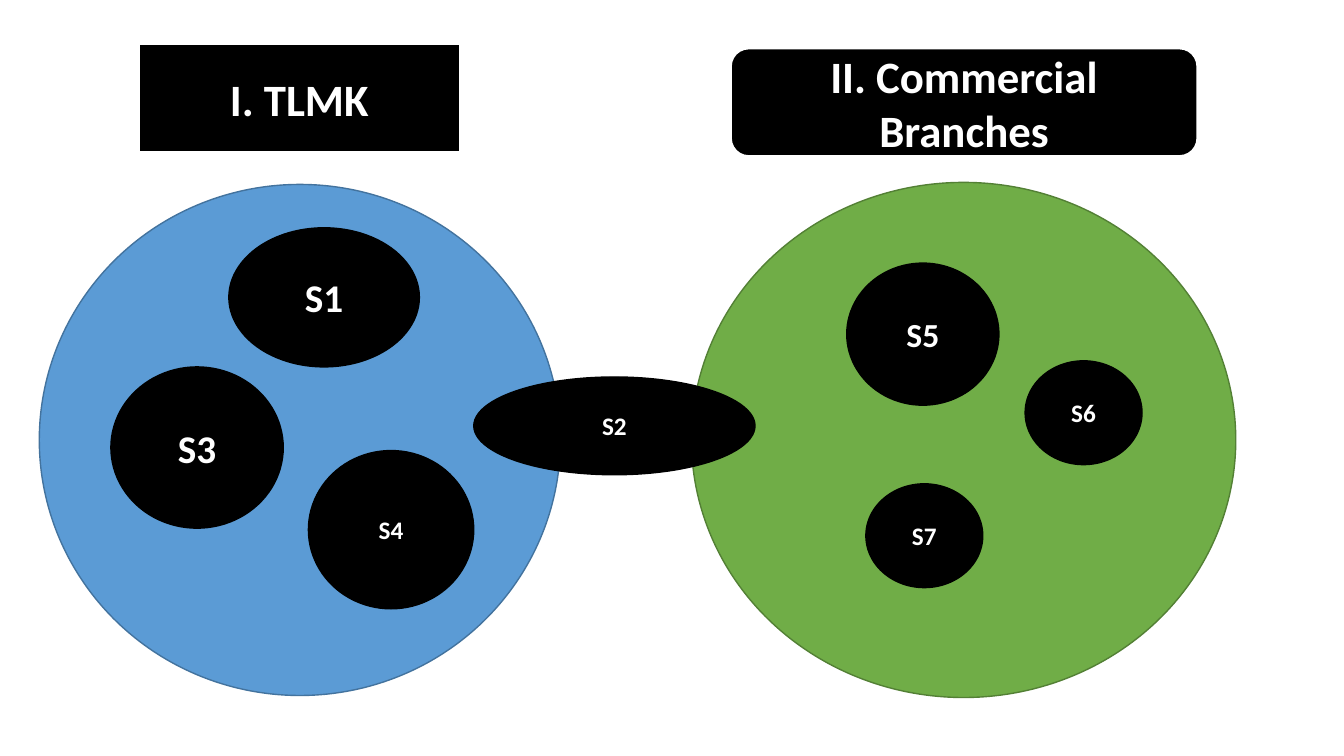
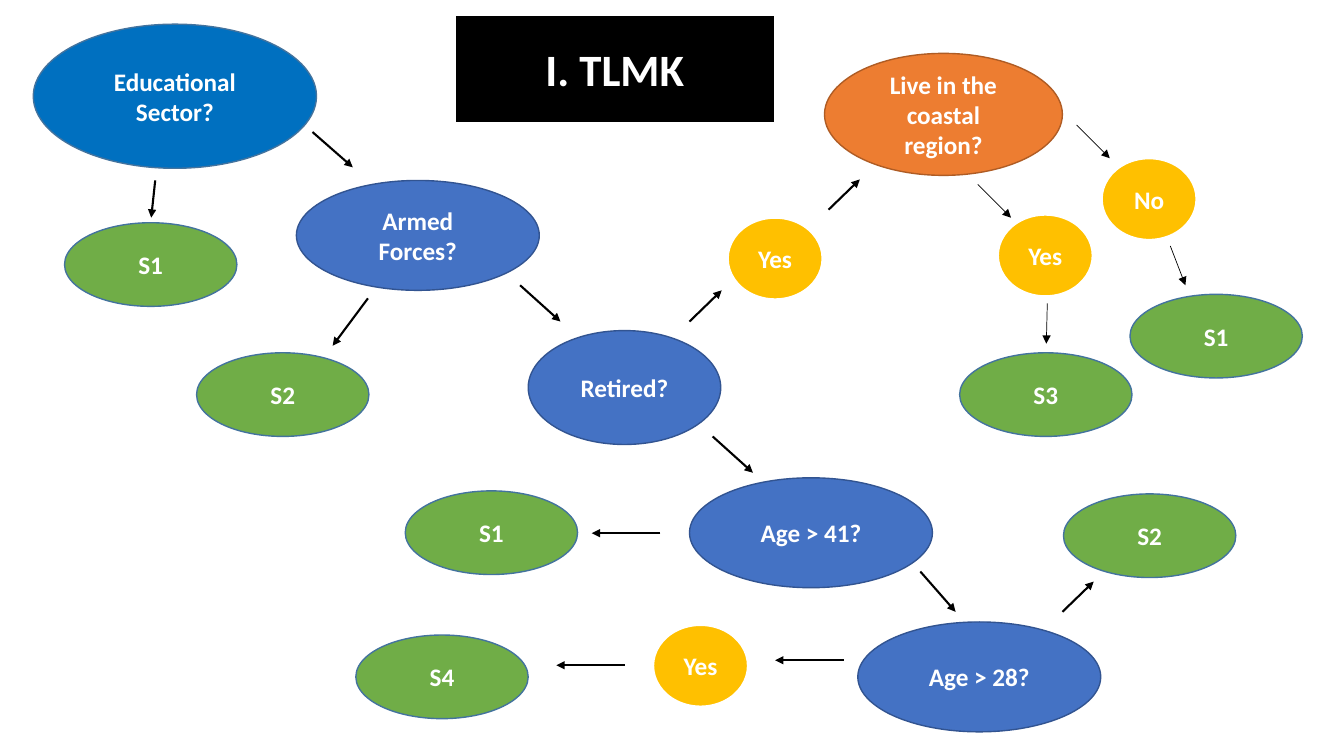
from dataclasses import dataclass
from typing import NamedTuple

from lxml import etree
from pptx import Presentation
from pptx import util as u
from pptx.dml.color import RGBColor
from pptx.enum import shapes, text
from pptx.oxml import ns


# Theme: colours, type sizes and line widths
class Look(NamedTuple):
    fill: str
    line: str
    width: float = 1


@dataclass(frozen=True)
class Theme:
    font: str = "Calibri"
    ink: str = "FFFFFF"
    arrow: str = "000000"
    title_size: int = 32
    large: int = 28
    medium: int = 24
    small: int = 18
    thick: float = 1.5
    thin: float = 0.5
    banner: Look = Look("000000", "FFFFFF", 1.5)
    telemarketing: Look = Look("5B9BD5", "43739E")
    branches: Look = Look("70AD47", "538035")
    group: Look = Look("000000", "000000")
    start: Look = Look("0070C0", "43739E")
    question: Look = Look("4472C4", "325491")
    region: Look = Look("ED7D31", "AF5C24")
    answer: Look = Look("FFC000", "FFFFFF", 1.5)
    segment: Look = Look("70AD47", "43739E")


THEME = Theme()

# Grid: ten columns and ten rows to the inch
CELL = u.Inches(0.1)
COLUMNS, ROWS = 133.33, 75


def cells(count: float) -> int:
    return round(count * CELL)


class Box(NamedTuple):
    col: float
    row: float
    cols: float
    rows: float

    def lengths(self) -> tuple:
        return tuple(cells(value) for value in self)


class Oval(NamedTuple):
    box: Box
    look: Look
    label: str = ""
    size: int = THEME.small


class Arrow(NamedTuple):
    col: float
    row: float
    to_col: float
    to_row: float
    width: float = THEME.thick


# Drawing functions
def paint(shape, look: Look) -> None:
    shape.fill.solid()
    shape.fill.fore_color.rgb = RGBColor.from_string(look.fill)
    shape.line.color.rgb = RGBColor.from_string(look.line)
    shape.line.width = u.Pt(look.width)


def write(shape, label: str, size: int) -> None:
    frame = shape.text_frame
    frame.word_wrap = True
    frame.auto_size = text.MSO_AUTO_SIZE.NONE
    frame.vertical_anchor = text.MSO_ANCHOR.MIDDLE
    paragraph = frame.paragraphs[0]
    paragraph.alignment = text.PP_ALIGN.CENTER
    run = paragraph.add_run()
    run.text = label
    run.font.name = THEME.font
    run.font.size = u.Pt(size)
    run.font.bold = True
    run.font.color.rgb = RGBColor.from_string(THEME.ink)


def draw_shape(slide, preset, box: Box, look: Look, label: str, size: int) -> None:
    shape = slide.shapes.add_shape(preset, *box.lengths())
    shape.shadow.inherit = False
    paint(shape, look)
    if label:
        write(shape, label, size)


def draw_oval(slide, oval: Oval) -> None:
    draw_shape(slide, shapes.MSO_SHAPE.OVAL, *oval)


def draw_arrow(slide, arrow: Arrow) -> None:
    ends = [cells(value) for value in arrow[:4]]
    line = slide.shapes.add_connector(shapes.MSO_CONNECTOR.STRAIGHT, *ends)
    line.line.color.rgb = RGBColor.from_string(THEME.arrow)
    line.line.width = u.Pt(arrow.width)
    etree.SubElement(line.line._get_or_add_ln(), ns.qn("a:tailEnd"), type="triangle")
    etree.SubElement(line._element.spPr, ns.qn("a:effectLst"))


def draw_title(slide, box: Box, label: str) -> None:
    title = slide.shapes.title
    title.left, title.top, title.width, title.height = box.lengths()
    outline = etree.SubElement(title._element.spPr, ns.qn("a:prstGeom"), prst="roundRect")
    etree.SubElement(outline, ns.qn("a:avLst"))
    paint(title, THEME.banner)
    write(title, label, THEME.title_size)


# Decision tree parts with a fixed size
def question(col: float, row: float, label: str) -> Oval:
    return Oval(Box(col, row, 24.1, 10.9), THEME.question, label)


def segment(col: float, row: float, label: str) -> Oval:
    return Oval(Box(col, row, 17.1, 8.3), THEME.segment, label)


def answer(col: float, row: float, label: str) -> Oval:
    return Oval(Box(col, row, 9.4, 8.1), THEME.answer, label)


def group(col: float, row: float, cols: float, rows: float,
          label: str, size: int = THEME.small) -> Oval:
    return Oval(Box(col, row, cols, rows), THEME.group, label, size)


TLMK = "I. TLMK"

CHANNELS = [
    Oval(Box(3.9, 18.3, 51.7, 50.7), THEME.telemarketing),
    Oval(Box(68.6, 18.1, 54, 51.1), THEME.branches),
    group(47, 37.4, 27.9, 9.7, "S2"),
    group(22.7, 22.6, 18.9, 13.8, "S1", THEME.large),
    group(11, 36.4, 17.1, 16, "S3", THEME.large),
    group(30.6, 44.7, 16.4, 15.7, "S4"),
    group(84, 26.1, 15.1, 14.1, "S5", THEME.medium),
    group(101.7, 35.8, 11.6, 10.3, "S6"),
    group(85.9, 48, 11.6, 10.3, "S7"),
]

DECISIONS = [
    Oval(Box(3.3, 2.4, 28.1, 14.3), THEME.start, "Educational Sector?"),
    segment(6.4, 22.1, "S1"),
    question(29.4, 17.9, "Armed Forces?"),
    segment(19.5, 35, "S2"),
    Oval(Box(52.4, 32.8, 19.1, 11.3), THEME.question, "Retired?"),
    answer(72.2, 21.6, "Yes"),
    Oval(Box(81.8, 5.3, 23.6, 12.1), THEME.region, "Live in the coastal region?"),
    answer(99, 21.3, "Yes"),
    segment(95.2, 35, "S3"),
    answer(109.3, 15.7, "No"),
    segment(112.1, 29.2, "S1"),
    question(68.4, 47.4, "Age > 41?"),
    segment(40.2, 48.7, "S1"),
    question(85.1, 61.7, "Age > 28?"),
    answer(64.8, 62, "Yes"),
    segment(35.3, 63, "S4"),
    segment(105.5, 49, "S2"),
]

FLOW = [
    Arrow(15.4, 17.9, 15, 21.6),
    Arrow(31, 13.1, 35, 16.6),
    Arrow(36.5, 29.6, 33, 34.3),
    Arrow(51.6, 28.3, 55.6, 31.9),
    Arrow(68.4, 31.9, 71.6, 28.8),
    Arrow(82.2, 20.8, 85.3, 17.8),
    Arrow(97, 18.3, 100.3, 21.6, THEME.thin),
    Arrow(103.9, 30.1, 103.8, 34.1, THEME.thin),
    Arrow(106.8, 12.4, 110.1, 15.7, THEME.thin),
    Arrow(116.1, 24.4, 117.6, 28.3, THEME.thin),
    Arrow(70.7, 43.3, 74.7, 46.9),
    Arrow(65.5, 52.9, 58.7, 52.9),
    Arrow(91.3, 56.7, 94.8, 60.7),
    Arrow(83.7, 65.5, 76.9, 65.5),
    Arrow(62, 66, 55.2, 66),
    Arrow(105.4, 60.7, 108.5, 57.7),
]

deck = Presentation()
deck.slide_width, deck.slide_height = cells(COLUMNS), cells(ROWS)
title_only = deck.slide_layouts[5]

# Slide 1: segments by sales channel
channels = deck.slides.add_slide(title_only)
draw_title(channels, Box(13.8, 4.4, 31.8, 10.7), TLMK)
draw_shape(channels, shapes.MSO_SHAPE.ROUNDED_RECTANGLE, Box(72.5, 4.8, 46.3, 10.7),
           THEME.banner, "II. Commercial Branches", THEME.title_size)
for part in CHANNELS:
    draw_oval(channels, part)

# Slide 2: decision tree
decisions = deck.slides.add_slide(title_only)
draw_title(decisions, Box(45.1, 1.5, 31.8, 10.7), TLMK)
for part in DECISIONS:
    draw_oval(decisions, part)
for step in FLOW:
    draw_arrow(decisions, step)

deck.save("out.pptx")
